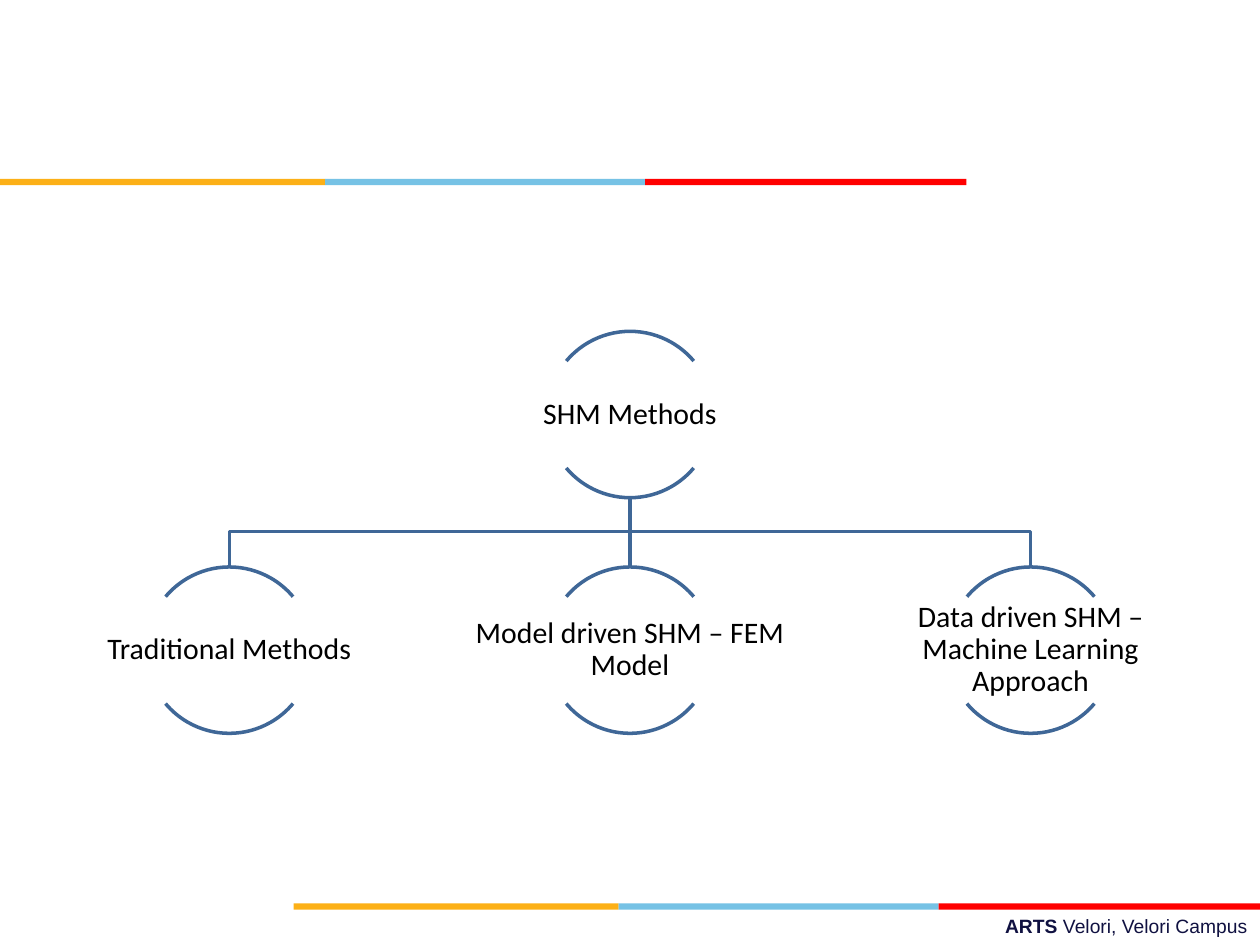
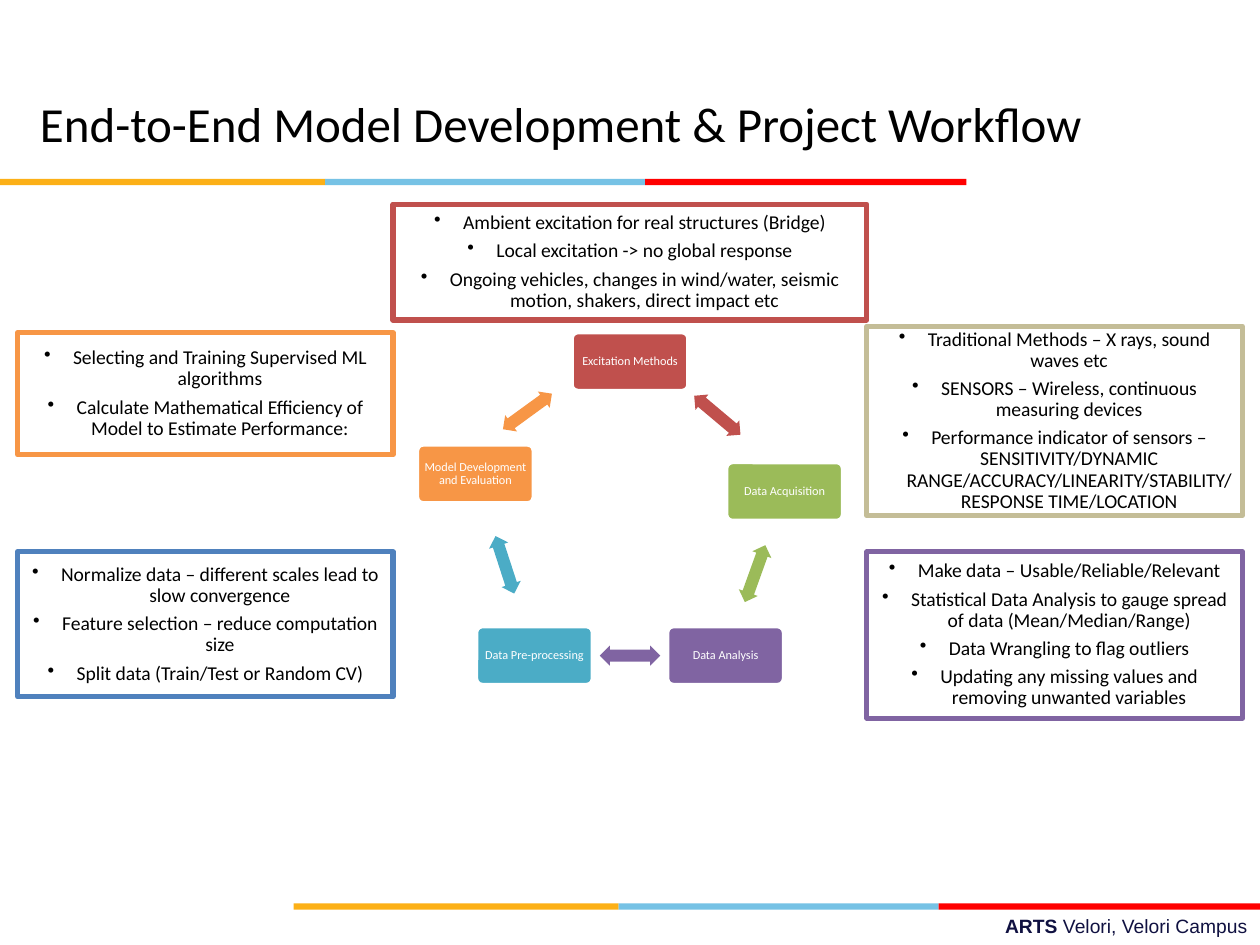
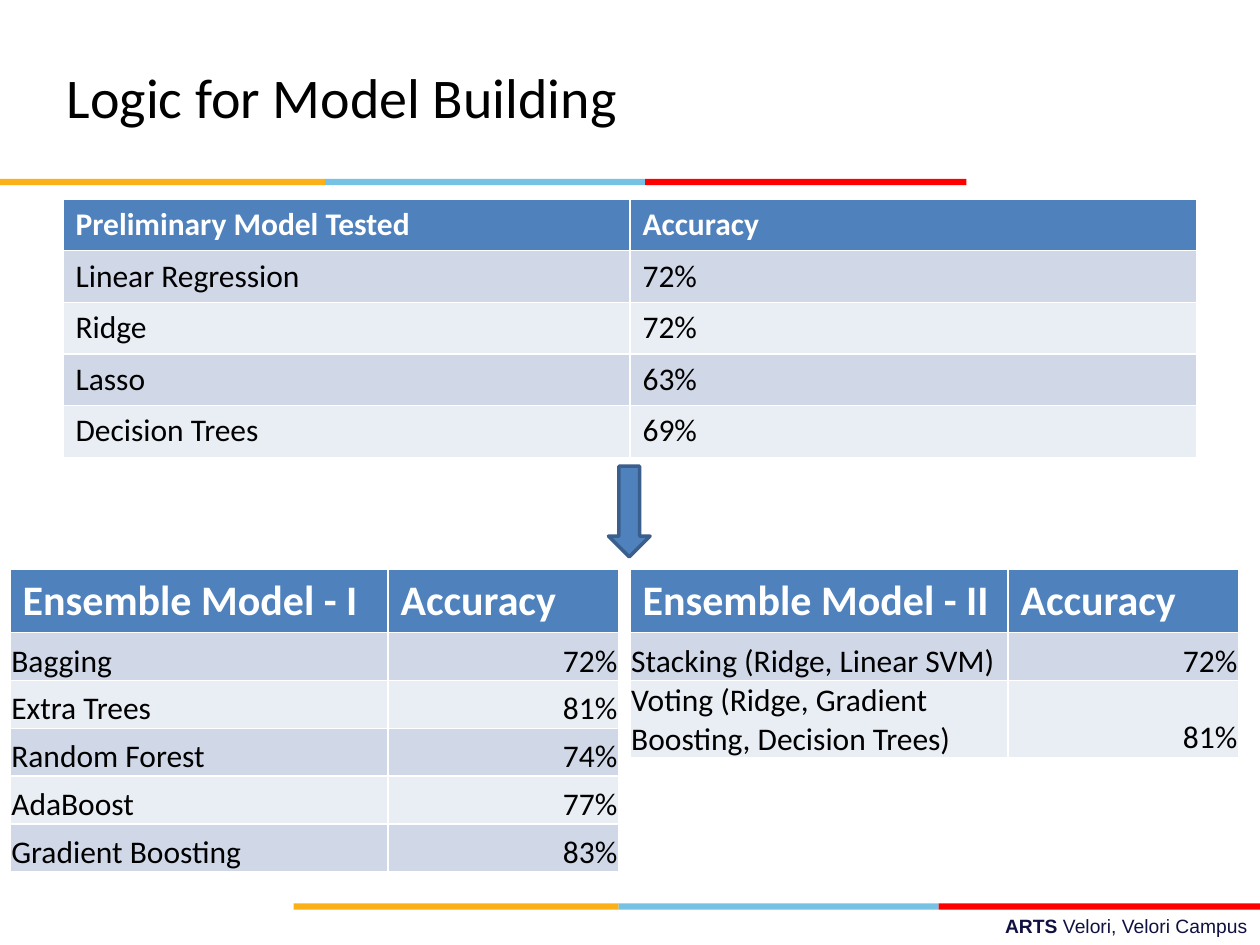
import math
import pptx
import pptx.util
import pptx.dml.color
import pptx.enum.shapes
import pptx.enum.text
import pptx.oxml.ns
import lxml.etree

WIDE, HIGH = 10, 7.5
HUES = {
    "gold": "FCB017", "sky": "76C2E5", "red": "FF0000", "navy": "101141",
    "black": "000000", "white": "FFFFFF", "steel": "3F6797",
    "blue": "4F81BD", "edge": "3A5F8C", "brick": "C0504D", "green": "9BBB59",
    "plum": "8064A2", "teal": "4BACC6", "peach": "F79646", "sand": "C4BD97",
    "dark": "D0D8E8", "light": "E9EDF4",
}
BANDS = [("gold", 2.58), ("sky", 2.54), ("red", 2.55)]
FOOT = ["ARTS ", "Velori, Velori Campus"]

ROOT = "SHM Methods"
KINDS = ["Traditional Methods", "Model driven SHM – FEM Model",
         "Data driven SHM – Machine Learning Approach"]

FLOW = "End-to-End Model Development & Project Workflow"
STEPS = [
    ("Excitation Methods", "brick", 0, (0.08, -0.09)),
    ("Data Acquisition", "green", 0.14, (0, 0)),
    ("Data Analysis", "plum", 0, (0, 0)),
    ("Data Pre-processing", "teal", 0, (0, 0)),
    ("Model Development and Evaluation", "peach", 0, (-0.2, -0.05)),
]
NOTES = [
    ("mid", 1.62, 0.92, "brick", [
        "Ambient excitation for real structures (Bridge)",
        "Local excitation -> no global response",
        "Ongoing vehicles, changes in wind/water, seismic motion, shakers, direct impact etc"]),
    ("right", 2.59, 1.5, "sand", [
        "Traditional Methods – X rays, sound waves etc",
        "SENSORS – Wireless, continuous measuring devices",
        "Performance indicator of sensors – SENSITIVITY/DYNAMIC "
        "RANGE/ACCURACY/LINEARITY/STABILITY/RESPONSE TIME/LOCATION"]),
    ("right", 4.38, 1.32, "plum", [
        "Make data – Usable/Reliable/Relevant",
        "Statistical Data Analysis to gauge spread of data (Mean/Median/Range)",
        "Data Wrangling to flag outliers",
        "Updating any missing values and removing unwanted variables"]),
    ("left", 4.38, 1.15, "blue", [
        "Normalize data – different scales lead to slow convergence",
        "Feature selection – reduce computation size",
        "Split data (Train/Test or Random CV)"]),
    ("left", 2.64, 0.97, "peach", [
        "Selecting and Training Supervised ML algorithms",
        "Calculate Mathematical Efficiency of Model to Estimate Performance:"]),
]

LOGIC = "Logic for Model Building"
FIRST = [("Preliminary Model Tested", "Accuracy"), ("Linear Regression", "72%"),
         ("Ridge", "72%"), ("Lasso", "63%"), ("Decision Trees", "69%")]
BLENDS = [
    (0.08, [("Ensemble Model - I", "Accuracy"), ("Bagging", "72%"),
            ("Extra Trees", "81%"), ("Random Forest", "74%"),
            ("AdaBoost", "77%"), ("Gradient Boosting", "83%")]),
    (5, [("Ensemble Model - II", "Accuracy"), ("Stacking (Ridge, Linear SVM)", "72%"),
         ("Voting (Ridge, Gradient Boosting, Decision Trees)", "81%")]),
]

inch = pptx.util.Inches
point = pptx.util.Pt
SHAPE = pptx.enum.shapes.MSO_SHAPE
ALIGN = pptx.enum.text.PP_ALIGN
ANCHOR = pptx.enum.text.MSO_ANCHOR


def hue(name):
    return pptx.dml.color.RGBColor.from_string(HUES[name])


def paint(shape, fill=None, line=None, width=2):
    shape.shadow.inherit = False
    if fill:
        shape.fill.solid()
        shape.fill.fore_color.rgb = hue(fill)
    else:
        shape.fill.background()
    if line:
        shape.line.color.rgb = hue(line)
        shape.line.width = point(width)
    else:
        shape.line.fill.background()


def draw(slide, kind, box, fill=None, line=None, width=2):
    shape = slide.shapes.add_shape(kind, *map(inch, box))
    paint(shape, fill, line, width)
    return shape


def style(para, size, color="black", align=ALIGN.CENTER, bold=False, font="Calibri"):
    para.alignment = align
    for run in para.runs:
        run.font.size = point(size)
        run.font.name = font
        run.font.bold = bold
        run.font.color.rgb = hue(color)


def write(shape, text, size, color="black", pad=0.01):
    frame = shape.text_frame
    frame.text = text
    frame.word_wrap = True
    frame.vertical_anchor = ANCHOR.MIDDLE
    frame.margin_left = frame.margin_right = inch(pad)
    frame.margin_top = frame.margin_bottom = inch(pad)
    for para in frame.paragraphs:
        style(para, size, color)
        para.line_spacing = 0.9
        para.space_after = point(round(size * 0.36))


def dot(para):
    props = para._p.get_or_add_pPr()
    props.set("marL", str(inch(0.23)))
    props.set("indent", str(-inch(0.23)))
    mark = lxml.etree.SubElement(props, pptx.oxml.ns.qn("a:buChar"))
    mark.set("char", "•")


def start(deck, title=None, box=None, size=32, align=ALIGN.LEFT):
    slide = deck.slides.add_slide(deck.slide_layouts[5 if title else 6])
    span = sum(width for _, width in BANDS)
    for left, top in [(0, 1.42), (WIDE - span, 7.17)]:
        for color, width in BANDS:
            draw(slide, SHAPE.RECTANGLE, (left, top, width, 0.05), color)
            left += width
    foot = slide.shapes.add_textbox(*map(inch, (3.58, 7.21, 6.42, 0.29)))
    foot.text_frame.word_wrap = True
    para = foot.text_frame.paragraphs[0]
    for part in FOOT:
        para.add_run().text = part
    style(para, 11, "navy", ALIGN.RIGHT, font="Arial")
    para.runs[0].font.bold = True
    if title:
        head = slide.shapes.title
        head.left, head.top, head.width, head.height = map(inch, box)
        head.text_frame.text = title
        head.text_frame.vertical_anchor = ANCHOR.MIDDLE
        style(head.text_frame.paragraphs[0], size, align=align)
    return slide


def node(slide, mid, top, text):
    size, wide, high = 1.32, 2.63, 0.84
    for first, last in [(132, 192), (24, 84)]:
        arc = draw(slide, SHAPE.ARC, (mid - size / 2, top, size, size), line="steel")
        arc.adjustments[0], arc.adjustments[1] = first, last
    label = slide.shapes.add_textbox(*map(inch, (
        mid - wide / 2, top + (size - high) / 2, wide, high)))
    write(label, text, 17)


def tree(deck):
    slide = start(deck)
    mid, step, low, turn, base = WIDE / 2, 3.18, 3.95, 4.22, 4.5
    for side in (1, -1):
        end = mid + side * step
        pen = slide.shapes.build_freeform(inch(mid), inch(low))
        pen.add_line_segments([(inch(x), inch(y)) for x, y in
                               [(mid, turn), (end, turn), (end, base)]], close=False)
        paint(pen.convert_to_shape(), line="steel")
    stem = slide.shapes.add_connector(
        pptx.enum.shapes.MSO_CONNECTOR.STRAIGHT, *map(inch, (mid, low, mid, base)))
    stem.line.color.rgb = hue("steel")
    stem.line.width = point(2)
    lxml.etree.SubElement(stem._element.spPr, pptx.oxml.ns.qn("a:effectLst"))
    node(slide, mid, 2.63, ROOT)
    for spot, text in enumerate(KINDS):
        node(slide, mid + (spot - 1) * step, base, text)


def cycle(deck):
    slide = start(deck, FLOW, (0.14, 0.43, 8.62, 1.09), 28, ALIGN.CENTER)
    reach, wide, high = 1.29, 0.92, 0.46
    spots = []
    for turn, (_, _, drop, _) in enumerate(STEPS):
        angle = math.tau * turn / len(STEPS)
        spots.append((WIDE / 2 + reach * math.sin(angle),
                      4.16 - reach * math.cos(angle) + drop))
    for turn, (text, color, _, (right, down)) in enumerate(STEPS):
        x, y = spots[turn]
        far, deep = spots[(turn + 1) % len(spots)]
        tile = draw(slide, SHAPE.ROUNDED_RECTANGLE,
                    (x - wide / 2, y - high / 2, wide, high), color, "white")
        tile.adjustments[0] = 0.1
        write(tile, text, 7, "white", 0.04)
        arrow = draw(slide, SHAPE.LEFT_RIGHT_ARROW,
                     ((x + far) / 2 + right - 0.24, (y + deep) / 2 + down - 0.08,
                      0.48, 0.16), color)
        arrow.adjustments[0], arrow.adjustments[1] = 0.6, 0.5
        arrow.rotation = math.degrees(math.atan2(deep - y, far - x)) % 360
    edge, side = 0.14, 2.98
    cols = {"left": (edge, side), "right": (WIDE - edge - side, side),
            "mid": (edge + side, WIDE - 2 * (edge + side))}
    for col, top, tall, color, lines in NOTES:
        left, width = cols[col]
        note = draw(slide, SHAPE.RECTANGLE, (left, top, width, tall), "white", color, 3)
        write(note, "\n".join(lines), 11.2, pad=0.05)
        for para in note.text_frame.paragraphs:
            dot(para)


def grid(slide, left, top, cols, rows, head, body, size, tight):
    table = slide.shapes.add_table(len(rows), len(cols), *map(inch, (
        left, top, sum(cols), head + body * (len(rows) - 1)))).table
    for col, width in zip(table.columns, cols):
        col.width = inch(width)
    for r, row in enumerate(rows):
        table.rows[r].height = inch(body if r else head)
        for c, text in enumerate(row):
            cell = table.cell(r, c)
            cell.text = text
            cell.fill.solid()
            cell.fill.fore_color.rgb = hue(("light", "dark")[r % 2] if r else "blue")
            snug = tight and r > 0
            style(cell.text_frame.paragraphs[0], 18 if r else size,
                  "black" if r else "white",
                  ALIGN.RIGHT if snug and c else ALIGN.LEFT, r == 0)
            if snug:
                cell.vertical_anchor = ANCHOR.BOTTOM
                cell.margin_left = cell.margin_right = cell.margin_top = inch(0.01)
                cell.margin_bottom = 0


def models(deck):
    slide = start(deck, LOGIC, (0.43, 0.3, 6.69, 0.93))
    grid(slide, 0.5, 1.58, (4.5, 4.5), FIRST, 0.41, 0.41, 18, False)
    draw(slide, SHAPE.DOWN_ARROW, (4.83, 3.7, 0.33, 0.72), "blue", "edge")
    for left, rows in BLENDS:
        grid(slide, left, 4.52, (3, 1.83), rows, 0.47, 0.38, 24, True)


def main():
    deck = pptx.Presentation()
    deck.slide_width, deck.slide_height = inch(WIDE), inch(HIGH)
    tree(deck)
    cycle(deck)
    models(deck)
    deck.save("out.pptx")


if __name__ == "__main__":
    main()
